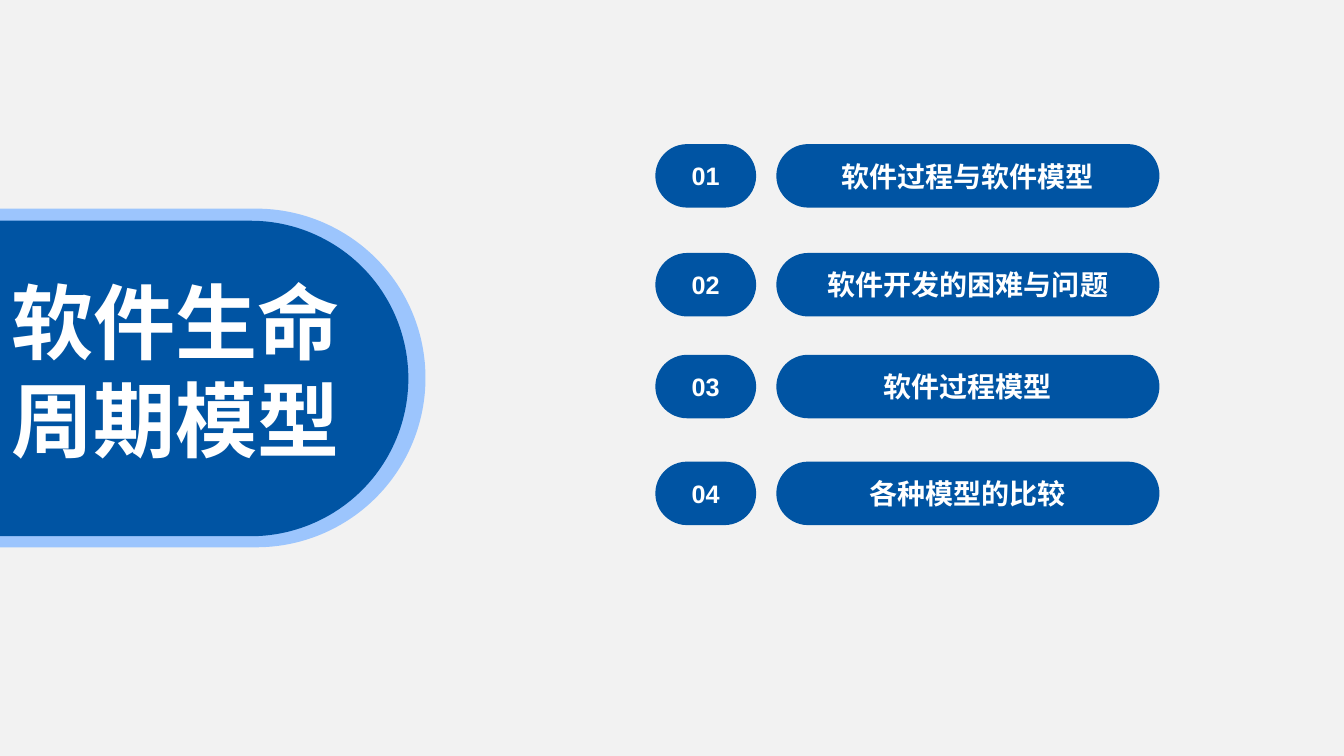
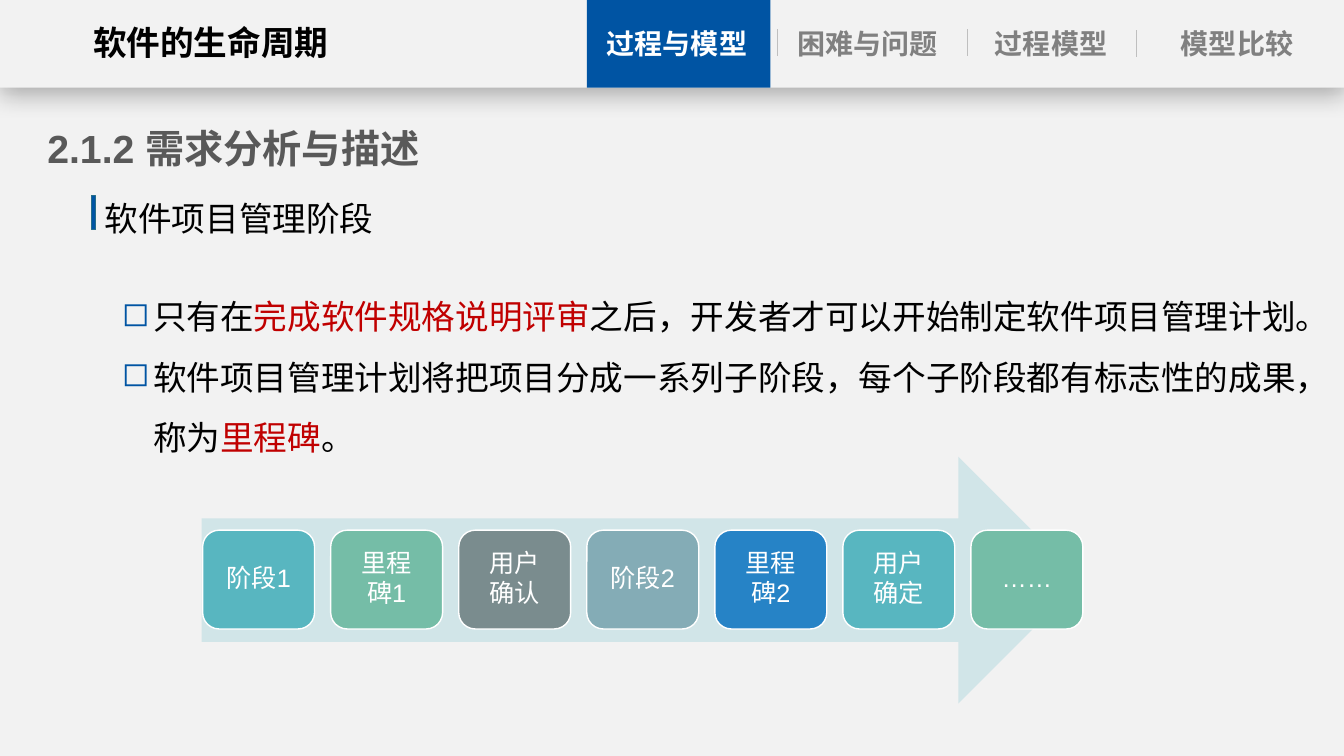
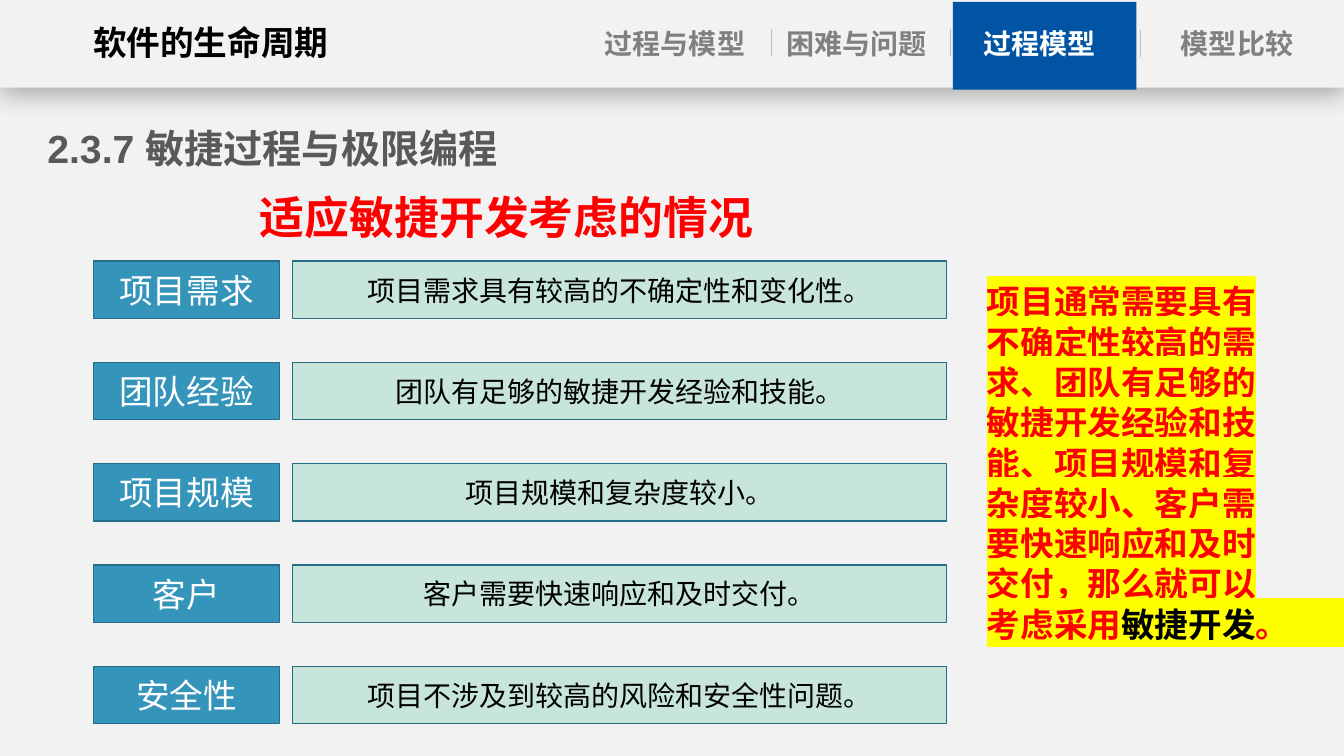
from lxml import etree
from pptx import Presentation
from pptx.dml.color import RGBColor
from pptx.enum.shapes import MSO_CONNECTOR, MSO_SHAPE
from pptx.enum.text import MSO_ANCHOR, MSO_AUTO_SIZE, PP_ALIGN
from pptx.oxml.ns import qn
from pptx.util import Inches, Pt

CENTER, LEFT = PP_ALIGN.CENTER, PP_ALIGN.LEFT
MIDDLE, TOP = MSO_ANCHOR.MIDDLE, MSO_ANCHOR.TOP
GROW = MSO_AUTO_SIZE.SHAPE_TO_FIT_TEXT
RECTANGLE, ROUNDED = MSO_SHAPE.RECTANGLE, MSO_SHAPE.ROUNDED_RECTANGLE
RIGHT_ARROW = MSO_SHAPE.RIGHT_ARROW
STRAIGHT = MSO_CONNECTOR.STRAIGHT

BLUE, PALE_BLUE, EDGE = "0054A3", "9CC5FD", "266D8A"
BACKGROUND, WHITE, BLACK = "F2F2F2", "FFFFFF", "000000"
TITLE_GRAY, NAV_GRAY, DIVIDER_GRAY = "595959", "808080", "BFBFBF"
RED, DARK_RED, YELLOW = "FF0000", "C00000", "FFFF00"
LATIN_FONT, CHINESE_FONT = "Arial", "Noto Sans CJK SC"
FLAT_INSETS = (0, 0.05, 0, 0.05)
NAV_LABELS = ["过程与模型", "困难与问题", "过程模型", "模型比较"]


def rgb(value):
    return RGBColor.from_string(value)


def add_element(parent, tag, **attributes):
    return etree.SubElement(parent, qn(tag), attributes)


class Deck:
    """Holds the shared style and the slide being built."""

    def __init__(self):
        self.presentation = Presentation()
        self.presentation.slide_width = Inches(13.33)
        self.presentation.slide_height = Inches(7.5)
        fill = self.presentation.slide_master.background.fill
        fill.solid()
        fill.fore_color.rgb = rgb(BACKGROUND)
        self.slide = None

    def new_slide(self):
        self.slide = self.presentation.slides.add_slide(self.presentation.slide_layouts[6])

    def run(self, paragraph, text, size, color, bold=False, font=LATIN_FONT, highlight=None):
        run = paragraph.add_run()
        run.text = text
        for name, value in {"size": Pt(size), "bold": bold, "name": font}.items():
            setattr(run.font, name, value)
        run.font.color.rgb = rgb(color)
        properties = run.font._element
        properties.set("lang", "zh-CN")
        latin = properties.find(qn("a:latin"))
        east_asian = etree.Element(qn("a:ea"), typeface=CHINESE_FONT)
        latin.addnext(east_asian)
        if highlight:
            mark = etree.Element(qn("a:highlight"))
            add_element(mark, "a:srgbClr", val=highlight)
            latin.addprevious(mark)

    def put_text(self, shape, paragraphs, align=CENTER, anchor=MIDDLE, wrap=True,
                 insets=(0.1, 0.05, 0.1, 0.05), bullet=None, spacing=None, after=0, **style):
        """A paragraph is a string or a list of (text, color) runs."""
        frame = shape.text_frame
        frame.word_wrap = wrap
        frame.vertical_anchor = anchor
        for side, inset in zip(("left", "top", "right", "bottom"), insets):
            setattr(frame, f"margin_{side}", Inches(inset))
        for index, content in enumerate(paragraphs):
            paragraph = frame.add_paragraph() if index else frame.paragraphs[0]
            for name, value in {"alignment": align, "line_spacing": spacing,
                                "space_after": Pt(after)}.items():
                setattr(paragraph, name, value)
            properties = paragraph._p.get_or_add_pPr()
            properties.set("hangingPunct", "1")
            if bullet:
                properties.set("marL", str(Inches(0.31)))
                properties.set("indent", str(-Inches(0.31)))
                add_element(add_element(properties, "a:buClr"), "a:srgbClr", val=BLUE)
                add_element(properties, "a:buChar", char=bullet)
            runs = [(content, style["color"])] if isinstance(content, str) else content
            for text, color in runs:
                self.run(paragraph, text, **{**style, "color": color})

    def shape(self, kind, left, top, width, height, fill, line=None, radius=None):
        shape = self.slide.shapes.add_shape(
            kind, Inches(left), Inches(top), Inches(width), Inches(height))
        shape.shadow.inherit = False
        shape.fill.solid()
        shape.fill.fore_color.rgb = rgb(fill)
        if line:
            shape.line.color.rgb = rgb(line)
            shape.line.width = Pt(1)
        else:
            shape.line.fill.background()
        if radius is not None:
            shape.adjustments[0] = radius
        return shape

    def text(self, left, top, width, height, paragraphs, align=LEFT, **style):
        box = self.slide.shapes.add_textbox(
            Inches(left), Inches(top), Inches(width), Inches(height))
        self.put_text(box, paragraphs, align=align, anchor=TOP, **style)
        box.text_frame.auto_size = GROW

    def pill(self, left, top, width, text, size):
        shape = self.shape(ROUNDED, left, top, width, 0.63, BLUE, radius=0.5)
        self.put_text(shape, [text], size=size, color=WHITE, bold=True)

    def divider(self, left, top):
        line = self.slide.shapes.add_connector(
            STRAIGHT, Inches(left), Inches(top), Inches(left), Inches(top + 0.27))
        line.line.color.rgb = rgb(DIVIDER_GRAY)
        line.line.width = Pt(0.5)
        add_element(line._element.spPr, "a:effectLst")

    def header(self, active, active_corner, label_lefts, divider_lefts):
        band = self.shape(RECTANGLE, 0, 0, 13.33, 0.87, BACKGROUND)
        effects = band._element.spPr.find(qn("a:effectLst"))
        shadow = add_element(effects, "a:outerShdw", blurRad=str(Pt(18)), dist=str(Pt(4)),
                             dir="5400000", algn="t", rotWithShape="0")
        add_element(add_element(shadow, "a:srgbClr", val=BLACK), "a:alpha", val="29000")
        for left, top in zip(divider_lefts, (0.29, 0.29, 0.3)):
            self.divider(left, top)
        self.shape(RECTANGLE, *active_corner, 1.82, 0.87, BLUE)
        for label, left, width in zip(NAV_LABELS, label_lefts, (1.47, 1.47, 1.47, 1.76)):
            self.text(left, 0.21, width, 0.44, [label], align=CENTER, insets=FLAT_INSETS,
                      size=20, color=WHITE if label == active else NAV_GRAY, bold=True)
        self.text(0.65, 0.17, 2.88, 0.51, ["软件的生命周期"], align=CENTER, insets=FLAT_INSETS,
                  size=24, color=BLACK, bold=True, font=CHINESE_FONT)

    def section_title(self, title):
        self.text(0.47, 1.18, 5, 0.58, [title], insets=FLAT_INSETS,
                  size=28, color=TITLE_GRAY, bold=True)


def build_contents(deck):
    deck.new_slide()
    # Title plate
    deck.shape(ROUNDED, -1.96, 2.07, 6.18, 3.36, PALE_BLUE, radius=0.5)
    deck.shape(ROUNDED, -1.7, 2.19, 5.75, 3.13, BLUE, radius=0.5)
    deck.text(-0.01, 2.64, 3.5, 2.08, ["软件生命", "周期模型"], align=CENTER, wrap=False,
              size=58.6, color=WHITE, bold=True)
    # Chapters
    chapters = [(1.43, "软件过程与软件模型"), (2.51, "软件开发的困难与问题"),
                (3.52, "软件过程模型"), (4.58, "各种模型的比较")]
    for number, (top, chapter) in enumerate(chapters, 1):
        deck.pill(6.5, top, 1, f"{number:02}", 18)
        deck.pill(7.7, top, 3.8, chapter, 20)


def build_milestones(deck):
    deck.new_slide()
    deck.header("过程与模型", (5.82, 0), (5.98, 7.87, 9.69, 11.39), (7.71, 9.59, 11.27))
    deck.section_title("2.1.2 需求分析与描述")
    # Subheading with its bar
    deck.shape(RECTANGLE, 0.91, 1.94, 0.04, 0.34, BLUE, line=EDGE)
    deck.text(0.94, 1.91, 5.22, 0.5, ["软件项目管理阶段"], size=24, color=BLACK)
    # Bullets
    deck.text(1.11, 2.69, 11.99, 1.84, [
        [("只有在", BLACK), ("完成软件规格说明评审", DARK_RED),
         ("之后，开发者才可以开始制定软件项目管理计划。", BLACK)],
        [("软件项目管理计划将把项目分成一系列子阶段，每个子阶段都有标志性的成果，称为", BLACK),
         ("里程碑", DARK_RED), ("。", BLACK)],
    ], bullet="◻", spacing=1.5, size=24, color=BLACK)
    # Stages on the arrow
    deck.shape(RIGHT_ARROW, 2, 4.53, 8.73, 2.45, "D1E5E8")
    stages = [(["阶段1"], "58B6C0"), (["里程", "碑1"], "75BDA7"), (["用户", "确认"], "7A8C8E"),
              (["阶段2"], "84ACB6"), (["里程", "碑2"], "2683C6"), (["用户", "确定"], "58B6C0"),
              (["……"], "75BDA7")]
    for index, (lines, fill) in enumerate(stages):
        stage = deck.shape(ROUNDED, 2.01 + 1.27 * index, 5.26, 1.11, 0.98, fill, line=WHITE)
        deck.put_text(stage, lines, insets=(0.07,) * 4, spacing=0.9, after=2,
                      size=18, color=WHITE)


def build_agile(deck):
    deck.new_slide()
    deck.header("过程模型", (9.45, 0.02), (5.96, 7.76, 9.58, 11.39), (7.65, 9.43, 11.31))
    deck.section_title("2.3.7 敏捷过程与极限编程")
    deck.text(2.48, 1.83, 5.36, 0.64, ["适应敏捷开发考虑的情况"], size=32, color=RED, bold=True)
    # Factors and their conditions
    factors = [("项目需求", "项目需求具有较高的不确定性和变化性。"),
               ("团队经验", "团队有足够的敏捷开发经验和技能。"),
               ("项目规模", "项目规模和复杂度较小。"),
               ("客户", "客户需要快速响应和及时交付。"),
               ("安全性", "项目不涉及到较高的风险和安全性问题。")]
    for index, (factor, condition) in enumerate(factors):
        top = 2.59 + 4.02 / 4 * index
        factor_box = deck.shape(RECTANGLE, 0.93, top, 1.84, 0.57, "3494BA", line=EDGE)
        deck.put_text(factor_box, [factor], size=24, color=WHITE)
        condition_box = deck.shape(RECTANGLE, 2.9, top, 6.49, 0.57, "C8E5DC", line=EDGE)
        deck.put_text(condition_box, [condition], size=20, color=BLACK)
    # Highlighted summary
    deck.text(9.69, 2.74, 2.89, 3.74, [[
        ("项目通常需要具有不确定性较高的需求、团队有足够的敏捷开发经验和技能、"
         "项目规模和复杂度较小、客户需要快速响应和及时交付，那么就可以考虑采用", RED),
        ("敏捷开发", BLACK), ("。", RED),
    ]], size=24, color=RED, bold=True, highlight=YELLOW)


def main():
    deck = Deck()
    build_contents(deck)
    build_milestones(deck)
    build_agile(deck)
    deck.presentation.save("out.pptx")


if __name__ == "__main__":
    main()
